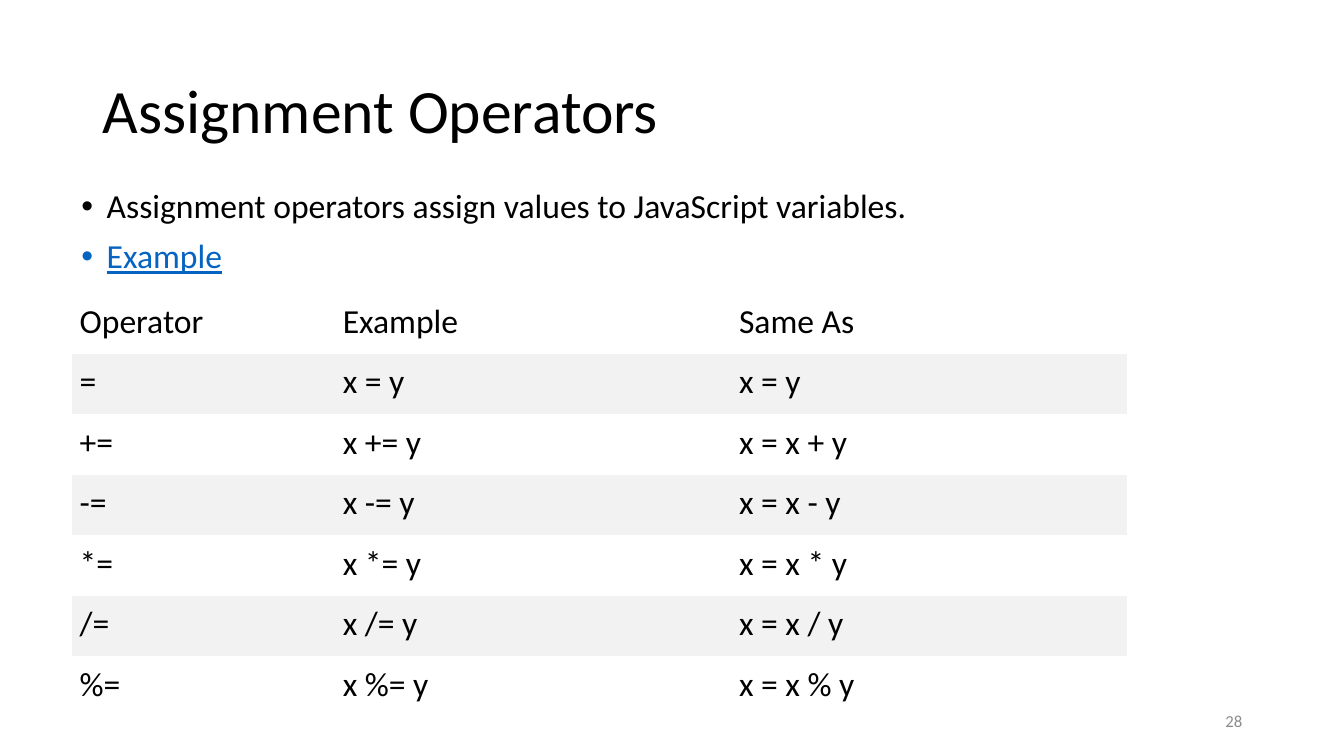
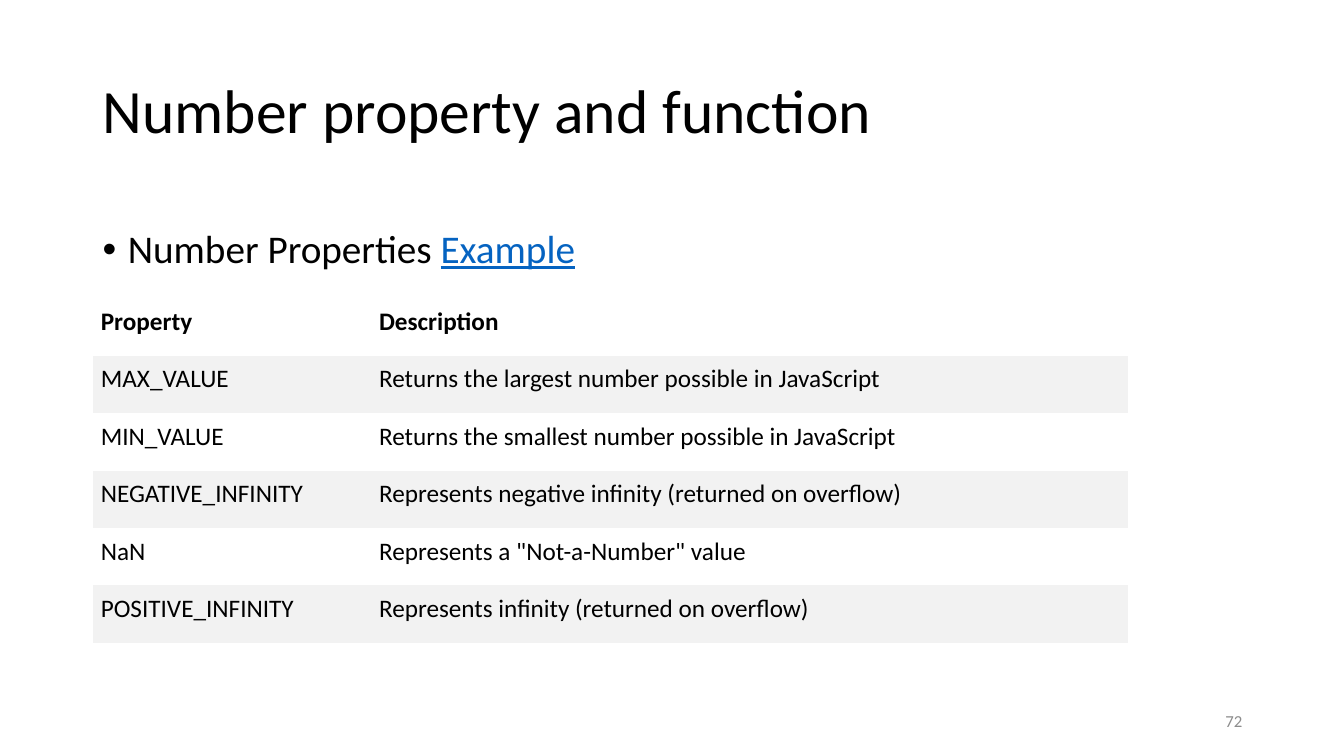
import dataclasses

import pptx
import pptx.dml.color
import pptx.enum.text
import pptx.oxml.ns
import pptx.util
from lxml import etree

Inches = pptx.util.Inches
Pt = pptx.util.Pt
ALIGN = pptx.enum.text.PP_ALIGN
ANCHOR = pptx.enum.text.MSO_ANCHOR
qn = pptx.oxml.ns.qn


@dataclasses.dataclass(frozen=True)
class Theme:
    """Colours, font and type sizes shared by the slides."""
    font: str = "Calibri"
    text: str = "000000"
    link: str = "0563C1"
    muted: str = "8C8C8C"
    row_fills: tuple = ("FFFFFF", "F2F2F2")
    title_size: int = 44
    number_size: int = 12
    line_spacing: float = 0.9
    bullet_gap: int = 10
    bullet_indent: float = 0.25
    cell_margin: float = 0.08
    plain_table: str = "{2D5ABB26-0587-4C30-8999-92F81FD0307C}"


THEME = Theme()
LINK = ("Example", True)


def rgb(value):
    """Turn a hex string into a colour."""
    return pptx.dml.color.RGBColor.from_string(value)


def add_run(p, text, size, color=THEME.text, bold=False, underline=False):
    """Append one styled run to a paragraph."""
    r = p.add_run()
    r.text = text
    r.font.name = THEME.font
    r.font.size = Pt(size)
    r.font.color.rgb = rgb(color)
    r.font.bold = bold
    r.font.underline = underline


def add_textbox(s, box, anchor=ANCHOR.TOP):
    """Add a wrapping text box and return its text frame."""
    tf = s.shapes.add_textbox(*map(Inches, box)).text_frame
    tf.word_wrap = True
    tf.vertical_anchor = anchor
    return tf


def add_title(s, text):
    """Add the slide title."""
    p = add_textbox(s, (0.92, 0.4, 11.5, 1.45), ANCHOR.MIDDLE).paragraphs[0]
    p.line_spacing = THEME.line_spacing
    add_run(p, text, THEME.title_size)


def add_slide_number(s, number):
    """Add the page number at the lower right."""
    p = add_textbox(s, (9.42, 6.95, 3, 0.4), ANCHOR.MIDDLE).paragraphs[0]
    p.alignment = ALIGN.RIGHT
    add_run(p, str(number), THEME.number_size, THEME.muted)


def set_bullet(p):
    """Give a paragraph a hanging round bullet."""
    indent = Inches(THEME.bullet_indent)
    pPr = p._p.get_or_add_pPr()
    pPr.set("marL", str(indent))
    pPr.set("indent", str(-indent))
    etree.SubElement(pPr, qn("a:buFont"), typeface="Arial")
    etree.SubElement(pPr, qn("a:buChar"), char="\u2022")


def add_bullets(s, box, items, size):
    """Add bullets; each item is a list of (text, is_link) runs."""
    tf = add_textbox(s, box)
    for i, runs in enumerate(items):
        p = tf.add_paragraph() if i else tf.paragraphs[0]
        p.line_spacing = THEME.line_spacing
        p.space_before = Pt(THEME.bullet_gap)
        set_bullet(p)
        for text, is_link in runs:
            color = THEME.link if is_link else THEME.text
            add_run(p, text, size, color, underline=is_link)


def add_striped_table(s, left, top, widths, row_height, rows, size,
                      bold_header=False):
    """Add a borderless table with alternating row fills."""
    table = s.shapes.add_table(
        len(rows), len(widths), Inches(left), Inches(top),
        Inches(sum(widths)), Inches(row_height * len(rows))).table
    table.first_row = table.horz_banding = False
    table._tbl.tblPr.find(qn("a:tableStyleId")).text = THEME.plain_table
    for column, width in zip(table.columns, widths):
        column.width = Inches(width)
    for i, values in enumerate(rows):
        table.rows[i].height = Inches(row_height)
        for j, value in enumerate(values):
            cell = table.cell(i, j)
            cell.fill.solid()
            cell.fill.fore_color.rgb = rgb(THEME.row_fills[i % 2])
            cell.margin_left = cell.margin_right = Inches(THEME.cell_margin)
            cell.margin_top = cell.margin_bottom = Inches(THEME.cell_margin)
            add_run(cell.text_frame.paragraphs[0], value, size,
                    bold=bold_header and i == 0)


def add_slide(prs, title, number):
    """Add a blank slide with its title and page number."""
    s = prs.slides.add_slide(prs.slide_layouts[6])
    add_title(s, title)
    add_slide_number(s, number)
    return s


def build_assignment_operators(prs):
    """Build the slide on assignment operators."""
    s = add_slide(prs, "Assignment Operators", 28)
    sentence = "Assignment operators assign values to JavaScript variables."
    add_bullets(s, (0.71, 1.83, 10.28, 4.59),
                [[(sentence, False)], [LINK]], size=24)
    rows = [("Operator", "Example", "Same As"), ("=", "x = y", "x = y")]
    rows += [(f"{op}=", f"x {op}= y", f"x = x {op} y") for op in "+-*/%"]
    add_striped_table(s, 0.71, 2.91, (2.61, 3.93, 3.93), 0.6, rows, size=24)


def build_number_properties(prs):
    """Build the slide on number properties."""
    s = add_slide(prs, "Number property and function", 72)
    add_bullets(s, (0.92, 2.23, 11.5, 4.59),
                [[("Number Properties ", False), LINK]], size=28)
    rows = [
        ("Property", "Description"),
        ("MAX_VALUE", "Returns the largest number possible in JavaScript"),
        ("MIN_VALUE", "Returns the smallest number possible in JavaScript"),
        ("NEGATIVE_INFINITY",
         "Represents negative infinity (returned on overflow)"),
        ("NaN", 'Represents a "Not-a-Number" value'),
        ("POSITIVE_INFINITY", "Represents infinity (returned on overflow)"),
    ]
    add_striped_table(s, 0.92, 2.96, (2.76, 7.51), 0.57, rows, size=18,
                      bold_header=True)


def main():
    """Build and save the presentation."""
    prs = pptx.Presentation()
    prs.slide_width = Inches(13.33)
    prs.slide_height = Inches(7.5)
    build_assignment_operators(prs)
    build_number_properties(prs)
    prs.save("out.pptx")


main()
